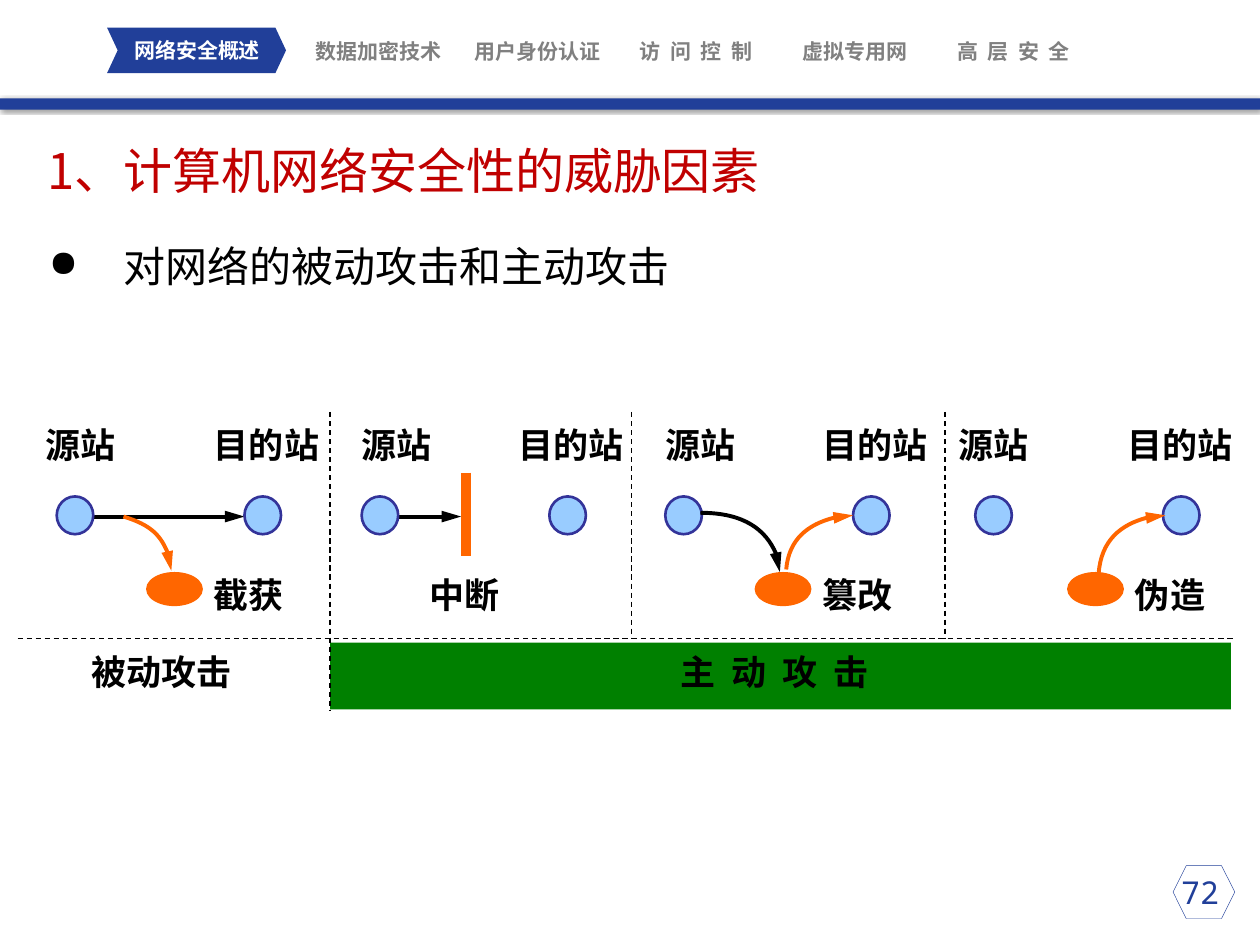
from lxml import etree
from pptx import Presentation
from pptx.dml.color import RGBColor
from pptx.enum.dml import MSO_LINE
from pptx.enum.shapes import MSO_CONNECTOR, MSO_SHAPE
from pptx.enum.text import MSO_ANCHOR, MSO_AUTO_SIZE, PP_ALIGN
from pptx.oxml.ns import qn
from pptx.util import Inches, Pt

STRAIGHT = MSO_CONNECTOR.STRAIGHT
DASH = MSO_LINE.DASH
CHEVRON, RECTANGLE = MSO_SHAPE.CHEVRON, MSO_SHAPE.RECTANGLE
HEXAGON, OVAL = MSO_SHAPE.HEXAGON, MSO_SHAPE.OVAL
TOP, MIDDLE = MSO_ANCHOR.TOP, MSO_ANCHOR.MIDDLE
LEFT, CENTER = PP_ALIGN.LEFT, PP_ALIGN.CENTER
FIT_SHAPE = MSO_AUTO_SIZE.SHAPE_TO_FIT_TEXT

COLORS = {
    "blue": "213F99", "white": "FFFFFF", "gray": "808080", "black": "000000",
    "red": "C00000", "green": "008000", "orange": "FF6600",
    "station": "99CCFF", "station_line": "333399",
}
CHINESE_FONT = "Noto Sans CJK SC"


def color(name):
    return RGBColor.from_string(COLORS[name])


class SlideBuilder:
    def __init__(self, slide):
        self.shapes = slide.shapes

    def style_line(self, line, line_color, width, dash=None, arrow=False):
        line.color.rgb = color(line_color)
        line.width = Pt(width)
        if dash:
            line.dash_style = dash
        if arrow:
            etree.SubElement(line._get_or_add_ln(), qn("a:tailEnd"),
                             type="triangle", w="med", len="lg")

    def shape(self, kind, box, fill=None, line=None, width=1):
        shape = self.shapes.add_shape(kind, *map(Inches, box))
        shape.shadow.inherit = False
        if fill:
            shape.fill.solid()
            shape.fill.fore_color.rgb = color(fill)
        else:
            shape.fill.background()
        if line:
            self.style_line(shape.line, line, width)
        else:
            shape.line.fill.background()
        return shape

    def bar_with_shadow(self, box, fill):
        bar = self.shape(RECTANGLE, box, fill)
        effects = bar._element.spPr.find(qn("a:effectLst"))
        shadow = etree.SubElement(effects, qn("a:outerShdw"), blurRad=str(Pt(2)),
                                  dist=str(Pt(1)), dir="2700000", rotWithShape="0")
        shade = etree.SubElement(shadow, qn("a:srgbClr"), val=COLORS["black"])
        etree.SubElement(shade, qn("a:alpha"), val="40000")

    def line(self, start, end, line_color, width, dash=None, arrow=False):
        connector = self.shapes.add_connector(STRAIGHT, *map(Inches, start + end))
        self.style_line(connector.line, line_color, width, dash, arrow)
        etree.SubElement(connector._element.spPr, qn("a:effectLst"))

    def curved_arrow(self, points, line_color):
        start, *others = [tuple(map(Inches, point)) for point in points]
        builder = self.shapes.build_freeform(*start)
        builder.add_line_segments(others, close=False)
        shape = builder.convert_to_shape()
        segments = list(shape._element.iter(qn("a:lnTo")))
        curve = etree.SubElement(segments[0].getparent(), qn("a:cubicBezTo"))
        for segment in segments:
            curve.append(segment[0])
            segment.getparent().remove(segment)
        shape.shadow.inherit = False
        shape.fill.background()
        self.style_line(shape.line, line_color, 2.25, arrow=True)

    def text(self, box, text, size, font, text_color, bold=False, align=LEFT,
             anchor=TOP, inset=None, wrap=True):
        text_box = self.shapes.add_textbox(*map(Inches, box))
        frame = text_box.text_frame
        frame.word_wrap = wrap
        frame.vertical_anchor = anchor
        if not wrap:
            frame.auto_size = FIT_SHAPE
        if inset is not None:
            frame.margin_left = frame.margin_right = Inches(inset)
            frame.margin_top = frame.margin_bottom = Inches(inset)
        paragraph = frame.paragraphs[0]
        paragraph.alignment = align
        run = paragraph.add_run()
        run.text = text
        run.font.size = Pt(size)
        run.font.name = font
        run.font.bold = bold
        run.font.color.rgb = color(text_color)
        etree.SubElement(run._r.get_or_add_rPr(), qn("a:ea"), typeface=CHINESE_FONT)
        return paragraph

    def tab(self, left, top, width, text, text_color):
        self.text((left, top, width, 0.2), text, 12, "Roboto Condensed", text_color,
                  bold=True, align=CENTER, anchor=MIDDLE, inset=0)

    def label(self, left, top, width, text):
        self.text((left, top, width, 0.43), text, 20, "Arial", "black",
                  bold=True, wrap=False)

    def bullet(self, box, text, indent):
        paragraph = self.text(box, text, 24, CHINESE_FONT, "black", anchor=MIDDLE)
        properties = paragraph._p.get_or_add_pPr()
        properties.set("marL", str(Inches(indent)))
        properties.set("indent", str(-Inches(indent)))
        bullet_color = etree.SubElement(properties, qn("a:buClr"))
        etree.SubElement(bullet_color, qn("a:srgbClr"), val=COLORS["black"])
        etree.SubElement(properties, qn("a:buSzPct"), val="88000")
        etree.SubElement(properties, qn("a:buChar"), char="●")

    def station(self, left):
        self.shape(OVAL, (left, 3.94, 0.29, 0.3), "station", "station_line", 1.5)

    def attacker(self, left):
        self.shape(OVAL, (left, 4.55, 0.43, 0.25), "orange", "orange", 1.5)


def build_header(builder):
    chevron = builder.shape(CHEVRON, (0.85, 0.22, 1.42, 0.36), "blue")
    chevron.adjustments[0] = 0.234
    builder.tab(0.98, 0.3, 1.17, "网络安全概述", "white")
    topics = ["数据加密技术", "用户身份认证", "访  问  控  制", "虚拟专用网", "高  层  安  全"]
    for index, topic in enumerate(topics):
        builder.tab(2.48 + 1.26 * index, 0.31, 1.05, topic, "gray")
    builder.bar_with_shadow((0, 0.78, 10, 0.09), "blue")


def build_attacks(builder):
    builder.shape(RECTANGLE, (2.62, 5.1, 7.15, 0.53), "green")
    builder.line((0.73, 4.1), (1.94, 4.1), "black", 2.25, arrow=True)
    builder.line((3.13, 4.1), (3.66, 4.1), "black", 2.25, arrow=True)
    builder.line((3.7, 3.75), (3.7, 4.41), "orange", 6)

    panels = [(0.45, 0.26, 1.6), (2.87, 2.77, 4.02), (5.28, 5.18, 6.43), (7.74, 7.51, 8.85)]
    for station_left, source_left, target_left in panels:
        builder.station(station_left)
        builder.station(station_left + 1.49)
        builder.label(source_left, 3.31, 0.77, "源站")
        builder.label(target_left, 3.31, 1.06, "目的站")

    for left in (1.17, 6, 8.48):
        builder.attacker(left)
    curves = [
        ([(0.98, 4.1), (1.21, 4.17), (1.36, 4.34), (1.36, 4.53)], "orange"),
        ([(5.56, 4.07), (5.91, 4.07), (6.19, 4.28), (6.19, 4.54)], "black"),
        ([(6.24, 4.52), (6.26, 4.28), (6.49, 4.09), (6.77, 4.09)], "orange"),
        ([(8.72, 4.55), (8.74, 4.29), (8.97, 4.09), (9.25, 4.09)], "orange"),
    ]
    for points, line_color in curves:
        builder.curved_arrow(points, line_color)
    for left, name in ((1.6, "截获"), (3.31, "中断"), (6.43, "篡改"), (8.91, "伪造")):
        builder.label(left, 4.5, 0.77, name)
    builder.label(0.63, 5.11, 1.32, "被动攻击")
    builder.label(5.3, 5.11, 1.78, "主  动  攻  击")

    builder.line((0.14, 5.07), (9.79, 5.07), "black", 0.75, DASH)
    for left, bottom in ((2.62, 5.64), (5.01, 5.07), (7.5, 5.07)):
        builder.line((left, 3.27), (left, bottom), "black", 0.75, DASH)


def main():
    presentation = Presentation()
    presentation.slide_width = Inches(10)
    presentation.slide_height = Inches(7.5)
    builder = SlideBuilder(presentation.slides.add_slide(presentation.slide_layouts[6]))
    build_header(builder)
    builder.text((0.28, 1.07, 9.45, 0.57), "1、计算机网络安全性的威胁因素", 28, CHINESE_FONT, "red")
    builder.bullet((0.29, 1.82, 9.45, 0.58), "对网络的被动攻击和主动攻击", 0.59)
    build_attacks(builder)
    builder.shape(HEXAGON, (9.31, 6.87, 0.49, 0.42), line="blue", width=0.25)
    builder.text((9.09, 6.88, 0.87, 0.4), "72", 18, "Noto Sans Mono", "blue", align=CENTER)
    presentation.save("out.pptx")


if __name__ == "__main__":
    main()
